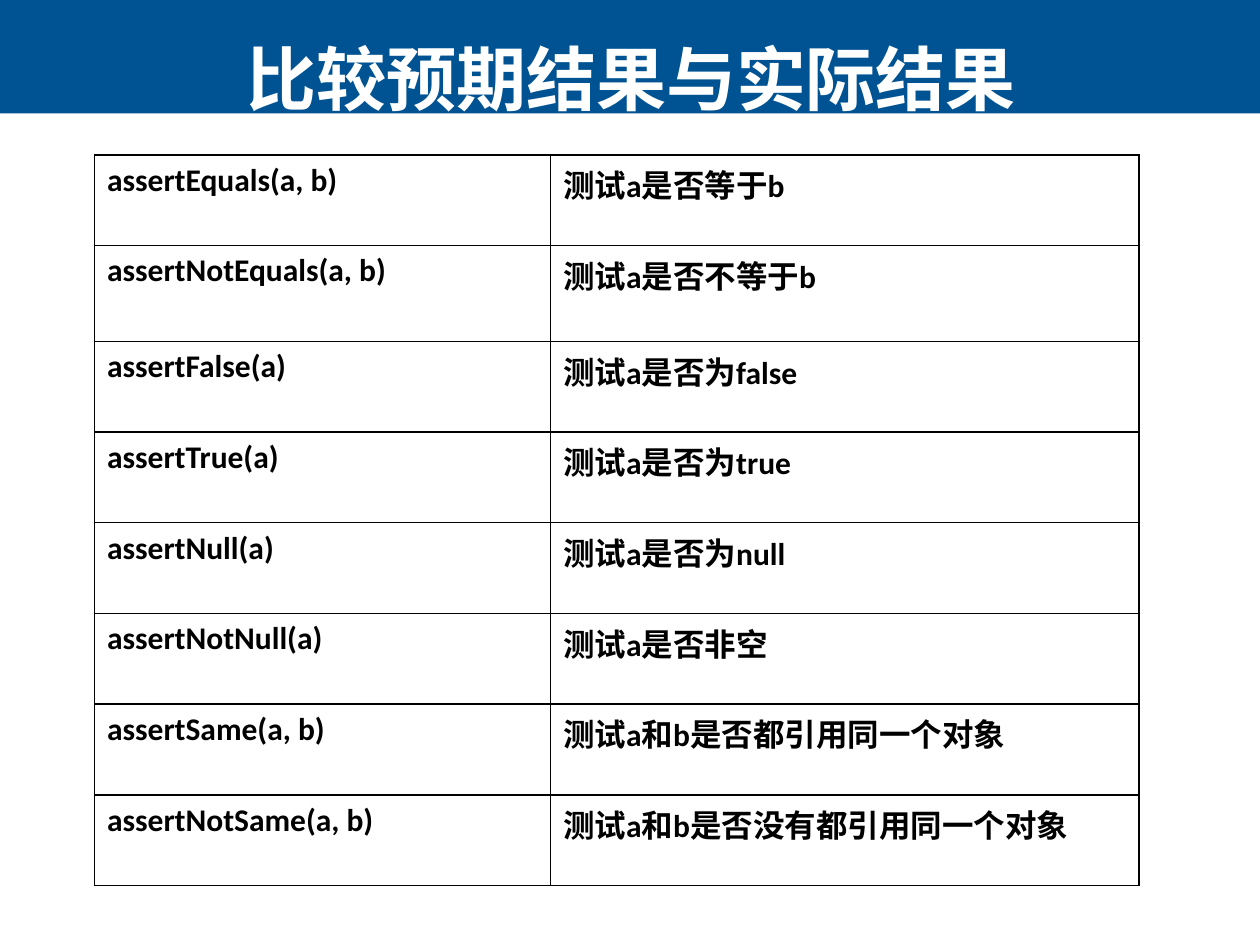
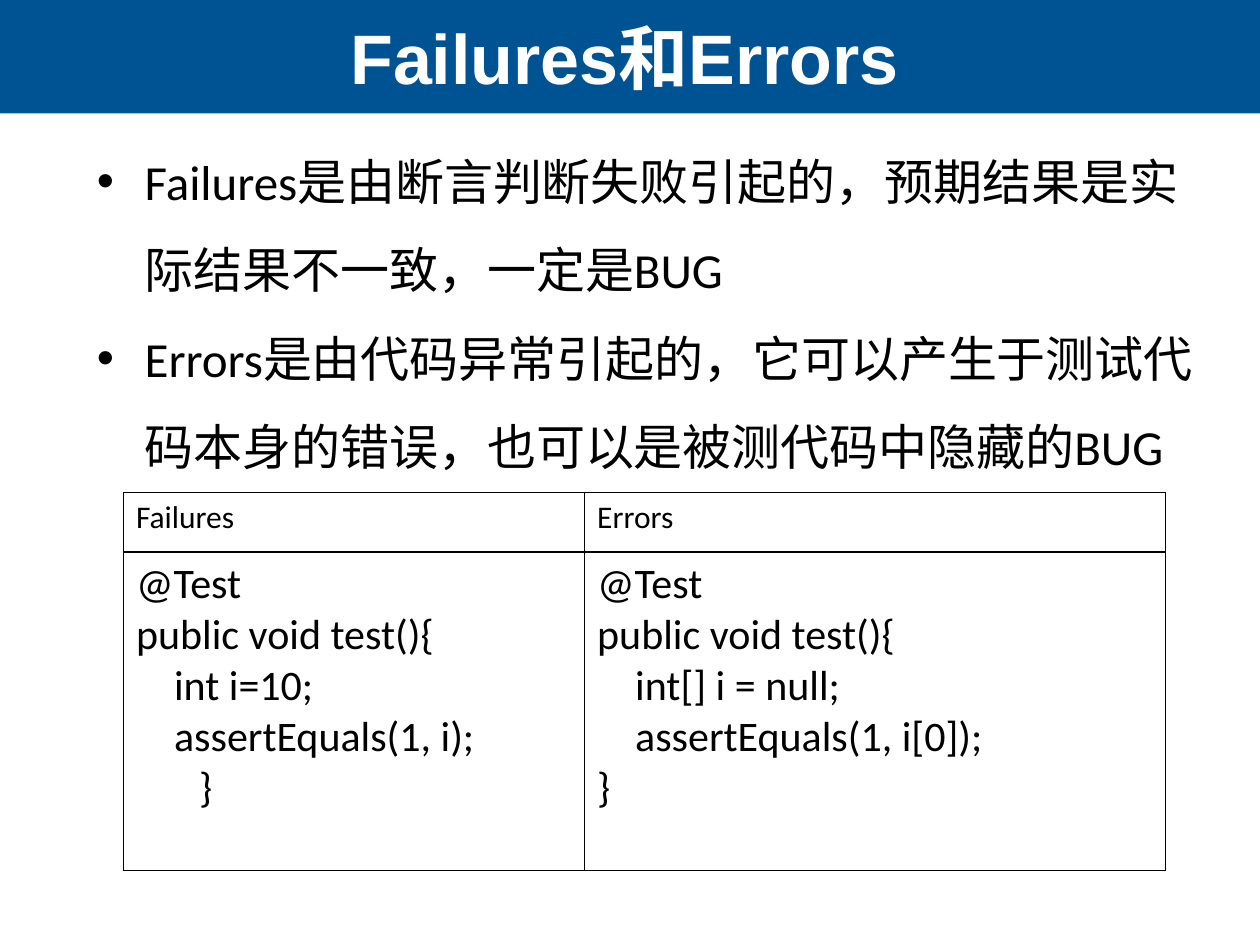
from lxml import etree
from pptx import Presentation
from pptx.dml.color import RGBColor
from pptx.enum.shapes import MSO_SHAPE
from pptx.enum.text import MSO_ANCHOR, MSO_AUTO_SIZE, PP_ALIGN
from pptx.oxml.ns import qn
from pptx.util import Inches, Pt

RECT = MSO_SHAPE.RECTANGLE
MIDDLE = MSO_ANCHOR.MIDDLE
FIXED = MSO_AUTO_SIZE.NONE
LEFT, CENTER = PP_ALIGN.LEFT, PP_ALIGN.CENTER

BLUE, WHITE, BLACK = "005392", "FFFFFF", "000000"
WIDE, HIGH, BAND = 10, 7.5, 0.9
HEAD, BODY = "Arial", "Calibri"

CHECKS = [
    ("assertEquals(a, b)", "测试a是否等于b"),
    ("assertNotEquals(a, b)", "测试a是否不等于b"),
    ("assertFalse(a)", "测试a是否为false"),
    ("assertTrue(a)", "测试a是否为true"),
    ("assertNull(a)", "测试a是否为null"),
    ("assertNotNull(a)", "测试a是否非空"),
    ("assertSame(a, b)", "测试a和b是否都引用同一个对象"),
    ("assertNotSame(a, b)", "测试a和b是否没有都引用同一个对象"),
]
POINTS = """Failures是由断言判断失败引起的，预期结果是实际结果不一致，一定是BUG
Errors是由代码异常引起的，它可以产生于测试代码本身的错误，也可以是被测代码中隐藏的BUG"""
FAIL = """@Test
public void test(){
    int i=10;
    assertEquals(1, i);
\t}"""
ERROR = """@Test
public void test(){
    int[] i = null;
    assertEquals(1, i[0]);
}"""
CASES = [("Failures", "Errors"), (FAIL, ERROR)]

SLIDES = [
    dict(title="比较预期结果与实际结果", box=(0.51, -0.01, 9, 1.25),
         cells=CHECKS, at=(0.75, 1.23), cols=(3.62, 4.67),
         rows=[0.72, 0.76] + [0.72] * 6, sizes=[18] * 8, bold=True),
    dict(title="Failures和Errors", box=(0.02, 0, 9.87, BAND), points=POINTS,
         cells=CASES, at=(0.98, 3.91), cols=(3.66, 4.61),
         rows=[0.47, 2.53], sizes=[18, 24], bold=False),
]


def tint(code):
    return RGBColor.from_string(code)


def write(frame, text, size=18, face=BODY, color=BLACK, bold=False,
          align=LEFT, space=None, bullet=None):
    frame.word_wrap = True
    for i, line in enumerate(text.split("\n")):
        para = frame.paragraphs[0] if i == 0 else frame.add_paragraph()
        para.alignment = align
        if space:
            para.line_spacing = space
        if bullet:
            props = para._p.get_or_add_pPr()
            props.set("marL", str(Inches(0.38)))
            props.set("indent", str(-Inches(0.38)))
            etree.SubElement(props, qn("a:buFont")).set("typeface", HEAD)
            etree.SubElement(props, qn("a:buChar")).set("char", bullet)
        run = para.add_run()
        run.text = line
        font = run.font
        font.size, font.name, font.bold = Pt(size), face, bold
        font.color.rgb = tint(color)


def edge(cell):
    props = cell._tc.get_or_add_tcPr()
    for i, side in enumerate(("lnL", "lnR", "lnT", "lnB")):
        line = etree.Element(qn("a:" + side), w=str(Pt(1)))
        fill = etree.SubElement(line, qn("a:solidFill"))
        etree.SubElement(fill, qn("a:srgbClr")).set("val", BLACK)
        props.insert(i, line)


def grid(slide, cells, at, cols, rows, sizes, bold):
    place = [Inches(n) for n in (*at, sum(cols), sum(rows))]
    table = slide.shapes.add_table(len(rows), len(cols), *place).table
    table.first_row = table.horz_banding = False
    for col, width in zip(table.columns, cols):
        col.width = Inches(width)
    for r, row in enumerate(cells):
        table.rows[r].height = Inches(rows[r])
        for c, text in enumerate(row):
            cell = table.cell(r, c)
            cell.fill.background()
            edge(cell)
            write(cell.text_frame, text, size=sizes[r], bold=bold)


def header(slide, text, box):
    band = slide.shapes.add_shape(RECT, 0, 0, Inches(WIDE), Inches(BAND))
    band.shadow.inherit = False
    band.fill.solid()
    band.fill.fore_color.rgb = tint(BLUE)
    band.line.fill.background()
    slide.shapes._spTree.insert(2, band._element)
    title = slide.shapes.title
    title.left, title.top, title.width, title.height = map(Inches, box)
    frame = title.text_frame
    frame.auto_size, frame.vertical_anchor = FIXED, MIDDLE
    write(frame, text, size=40, face=HEAD, color=WHITE, bold=True, align=CENTER)


def main():
    deck = Presentation()
    deck.slide_width, deck.slide_height = Inches(WIDE), Inches(HIGH)
    for data in SLIDES:
        slide = deck.slides.add_slide(deck.slide_layouts[5])
        slide.background.fill.solid()
        slide.background.fill.fore_color.rgb = tint(WHITE)
        header(slide, data["title"], data["box"])
        if "points" in data:
            place = map(Inches, (0.67, 0.92, 9.13, 5.63))
            frame = slide.shapes.add_textbox(*place).text_frame
            write(frame, data["points"], size=28, space=1.5, bullet="•")
        grid(slide, *(data[key] for key in
                      ("cells", "at", "cols", "rows", "sizes", "bold")))
    deck.save("out.pptx")


if __name__ == "__main__":
    main()
